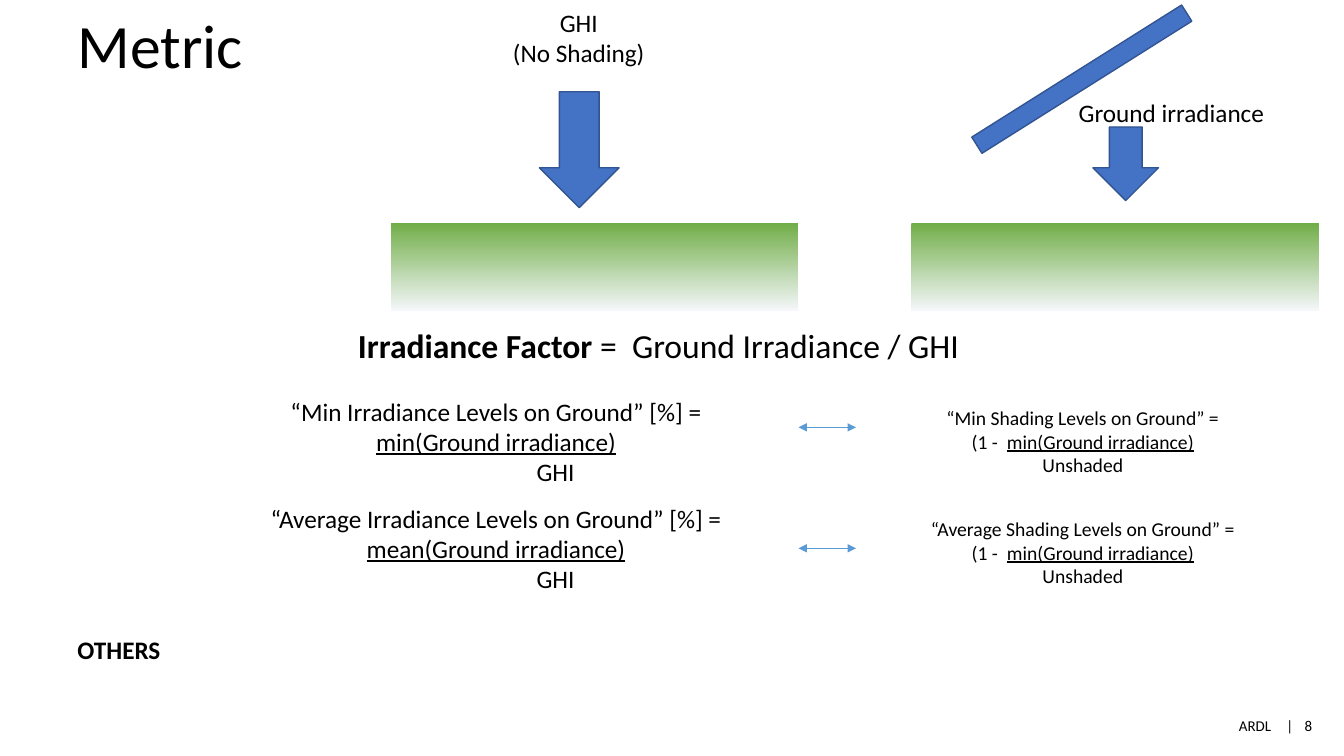
"""Build the irradiance metric slide."""
from dataclasses import dataclass

from lxml.etree import SubElement
from pptx import Presentation
from pptx.dml.color import RGBColor
from pptx.enum.shapes import MSO_CONNECTOR as Connector, MSO_SHAPE as Preset
from pptx.enum.text import MSO_ANCHOR as Anchor, PP_ALIGN as Align
from pptx.oxml.ns import qn
from pptx.util import Inches, Pt

COLORS = {"text": "000000", "blue": "4472C4", "outline": "325491",
          "grass": "70AD47", "fade": "F6F8FC", "link": "5B9BD5"}
FONT = "Calibri"


@dataclass(frozen=True)
class Run:
    text: str
    bold: bool = False
    underline: bool = False


@dataclass(frozen=True)
class Line:
    runs: tuple[Run, ...]
    indent: float = 0


@dataclass(frozen=True)
class Label:
    left: float
    top: float
    width: float
    height: float
    lines: tuple[Line, ...]
    size: float = 18
    align: Align = Align.CENTER
    wrap: bool = False


@dataclass(frozen=True)
class Block:
    preset: Preset
    left: float
    top: float
    width: float
    height: float
    rotation: float = 0


def color(name: str) -> RGBColor:
    return RGBColor.from_string(COLORS[name])


def plain(text: str, bold: bool = False, indent: float = 0) -> Line:
    return Line((Run(text, bold),), indent)


def draw_label(slide, label: Label):
    box = slide.shapes.add_textbox(*map(Inches, (label.left, label.top, label.width, label.height)))
    frame = box.text_frame
    frame.word_wrap = label.wrap
    for index, line in enumerate(label.lines):
        paragraph = frame.add_paragraph() if index else frame.paragraphs[0]
        paragraph.alignment = label.align
        if line.indent:
            paragraph._p.get_or_add_pPr().set("marL", str(Inches(line.indent)))
        for part in line.runs:
            run = paragraph.add_run()
            run.text = part.text
            run.font.name = FONT
            run.font.size = Pt(label.size)
            run.font.bold = part.bold
            run.font.underline = part.underline
            run.font.color.rgb = color("text")
    return box


def draw_block(slide, block: Block):
    shape = slide.shapes.add_shape(
        block.preset, *map(Inches, (block.left, block.top, block.width, block.height)))
    shape.shadow.inherit = False
    shape.rotation = block.rotation
    shape.fill.solid()
    shape.fill.fore_color.rgb = color("blue")
    shape.line.color.rgb = color("outline")
    shape.line.width = Pt(1)
    return shape


def draw_ground(slide, left: float) -> None:
    ground = draw_block(slide, Block(Preset.RECTANGLE, left, 2.21, 4.04, 0.88))
    ground.line.fill.background()
    ground.fill.gradient()
    ground.fill.gradient_angle = 270
    for stop, name in zip(ground.fill.gradient_stops, ("grass", "fade")):
        stop.color.rgb = color(name)


def draw_link(slide, top: float) -> None:
    link = slide.shapes.add_connector(
        Connector.STRAIGHT, *map(Inches, (7.92, top, 8.49, top)))
    link.line.color.rgb = color("link")
    link.line.width = Pt(1)
    outline = link.line._get_or_add_ln()
    for end in ("a:headEnd", "a:tailEnd"):
        SubElement(outline, qn(end), type="triangle")
    SubElement(link._element.spPr, qn("a:effectLst"))


def irradiance(name: str, function: str, top: float) -> Label:
    return Label(2.5, top, 4.84, 1.01, (
        plain(f"“{name} Irradiance Levels on Ground” [%] ="),
        Line((Run(f"{function}(Ground irradiance)", underline=True),)),
        plain("GHI", indent=1.18)), wrap=True)


def shading(name: str, top: float) -> Label:
    return Label(9.09, top, 3.3, 0.81, (
        plain(f"“{name} Shading Levels on Ground” ="),
        Line((Run("(1 -  "), Run("min(Ground irradiance)", underline=True))),
        plain("Unshaded")), size=14, wrap=True)


def draw_footer(slide) -> None:
    footer = draw_label(slide, Label(
        12.19, 7.06, 1.1, 0.28, (plain("ARDL\t|\t8"),), 10.7, Align.LEFT))
    properties = footer.text_frame.paragraphs[0]._p.get_or_add_pPr()
    stops = SubElement(properties, qn("a:tabLst"))
    for position in (0.47, 0.65):
        SubElement(stops, qn("a:tab"), pos=str(Inches(position)), algn="l")


BLOCKS = (
    Block(Preset.DOWN_ARROW, 5.35, 0.91, 0.79, 1.15),
    Block(Preset.DOWN_ARROW, 10.84, 1.26, 0.65, 0.73),
    Block(Preset.RECTANGLE, 9.5, 0.69, 2.46, 0.19, 327.8),
)
LABELS = (
    Label(4.98, 0.02, 1.52, 0.71, (plain("GHI"), plain("(No Shading)"))),
    Label(10.6, 0.92, 2.06, 0.4, (plain("Ground irradiance"),), align=Align.LEFT),
    Label(3.42, 3.17, 6.22, 0.5, (Line((
        Run("Irradiance Factor ", bold=True), Run("=  Ground Irradiance / GHI"))),), size=24),
    irradiance("Min", "min", 3.88),
    irradiance("Average", "mean", 4.94),
    shading("Min", 3.98),
    shading("Average", 5.08),
    Label(0.67, 6.24, 1.03, 0.4, (plain("OTHERS", bold=True),), align=Align.LEFT),
)


def main() -> None:
    presentation = Presentation()
    presentation.slide_width = Inches(13.33)
    presentation.slide_height = Inches(7.5)
    slide = presentation.slides.add_slide(presentation.slide_layouts[6])
    title = draw_label(slide, Label(
        0.67, 0, 3.51, 0.96, (plain("Metric"),), 44, Align.LEFT, True))
    title.text_frame.vertical_anchor = Anchor.MIDDLE
    title.text_frame.paragraphs[0].line_spacing = 0.9
    for block in BLOCKS:
        draw_block(slide, block)
    for left in (3.88, 9.04):
        draw_ground(slide, left)
    for label in LABELS:
        draw_label(slide, label)
    for top in (4.24, 5.44):
        draw_link(slide, top)
    draw_footer(slide)
    presentation.save("out.pptx")


main()
